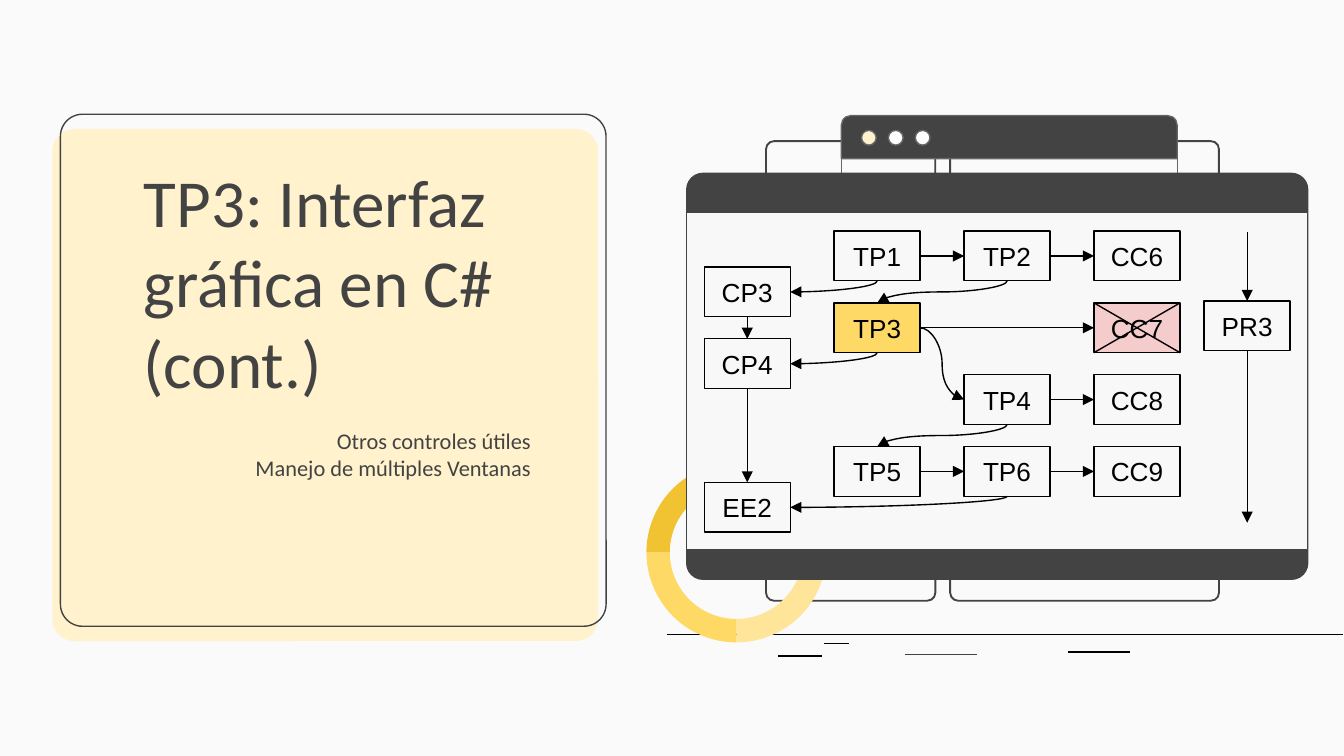
from dataclasses import dataclass
from enum import IntEnum
from typing import NamedTuple, Optional

from lxml.etree import SubElement
from pptx import Presentation
from pptx.dml.color import RGBColor
from pptx.enum.shapes import MSO_CONNECTOR as Connector, MSO_SHAPE as Shape
from pptx.enum.text import MSO_ANCHOR as Anchor, PP_ALIGN as Align
from pptx.oxml.ns import qn
from pptx.util import Inches, Pt


@dataclass(frozen=True)
class Theme:
    background: str = "FAFAFA"
    cream: str = "FFF2CC"
    dark: str = "434343"
    gray: str = "666666"
    black: str = "000000"
    white: str = "FFFFFF"
    pane: str = "F8F8F8"
    gold: str = "F1C232"
    yellow: str = "FFD966"
    pale_yellow: str = "FFE599"
    pink: str = "F4CCCC"
    title_font: str = "Calibri"
    node_font: str = "Arial"
    title_size: float = 36
    subtitle_size: float = 12
    node_size: float = 14
    line: float = 0.75
    frame_line: float = 1


THEME = Theme()


class Side(IntEnum):
    TOP = 0
    LEFT = 1
    BOTTOM = 2
    RIGHT = 3


class Area(NamedTuple):
    left: float
    top: float
    width: float
    height: float


class Node(NamedTuple):
    name: str
    column: int
    row: int
    fill: Optional[str] = None


class Link(NamedTuple):
    start: str
    start_side: Side
    end: str
    end_side: Side


class Stroke(NamedTuple):
    left: float
    top: float
    length: float
    color: str = THEME.black


class RingPart(NamedTuple):
    start: float
    end: float
    color: str


NODE_WIDTH, NODE_HEIGHT = 0.64, 0.37
GRID_LEFT, GRID_TOP = 5.24, 1.72
COLUMN_STEP, ROW_STEP = 2.9 / 3, 1.87 / 7

NODES = [
    Node("TP1", 1, 0), Node("TP3", 1, 2, THEME.yellow), Node("TP5", 1, 6),
    Node("TP2", 2, 0), Node("TP4", 2, 4), Node("TP6", 2, 6),
    Node("CC6", 3, 0), Node("CC7", 3, 2, THEME.pink), Node("CC8", 3, 4), Node("CC9", 3, 6),
    Node("CP3", 0, 1), Node("CP4", 0, 3), Node("EE2", 0, 7),
]
ACROSS = [("TP1", "TP2"), ("TP2", "CC6"), ("TP3", "CC7"), ("TP4", "CC8"),
          ("TP5", "TP6"), ("TP6", "CC9")]
DOWN = [("CP3", "CP4"), ("CP4", "EE2")]
STRAIGHT_LINKS = ([Link(a, Side.RIGHT, b, Side.LEFT) for a, b in ACROSS]
                  + [Link(a, Side.BOTTOM, b, Side.TOP) for a, b in DOWN])
CURVED_LINKS = [
    Link("TP2", Side.BOTTOM, "TP3", Side.TOP),
    Link("TP4", Side.BOTTOM, "TP5", Side.TOP),
    Link("TP3", Side.RIGHT, "TP4", Side.LEFT),
    Link("TP1", Side.BOTTOM, "CP3", Side.RIGHT),
    Link("TP3", Side.BOTTOM, "CP4", Side.RIGHT),
    Link("TP6", Side.BOTTOM, "EE2", Side.RIGHT),
]
GROUND = [Stroke(4.96, 4.72, 5.03), Stroke(5.79, 4.88, 0.33), Stroke(6.73, 4.87, 0.54, THEME.dark),
          Stroke(6.13, 4.79, 0.19), Stroke(7.95, 4.85, 0.46)]
RING = [RingPart(300, 90, THEME.pale_yellow), RingPart(90, 180, THEME.yellow),
        RingPart(180, 300, THEME.gold)]


def add_block(page, kind, area: Area, *, fill=None, line=None, weight=THEME.line, adjust=()):
    box = page.shapes.add_shape(kind, *map(Inches, area))
    box.shadow.inherit = False
    for index, value in enumerate(adjust):
        box.adjustments[index] = value
    if fill:
        box.fill.solid()
        box.fill.fore_color.rgb = RGBColor.from_string(fill)
    else:
        box.fill.background()
    if line:
        box.line.color.rgb = RGBColor.from_string(line)
        box.line.width = Pt(weight)
    else:
        box.line.fill.background()
    return box


def write(box, text: str, *, font: str, size: float, color: str, align=Align.LEFT, anchor=Anchor.TOP):
    """Fill a box with text, one paragraph per line."""
    frame = box.text_frame
    frame.word_wrap = True
    frame.vertical_anchor = anchor
    frame.margin_left = frame.margin_right = frame.margin_top = frame.margin_bottom = Inches(0.1)
    for index, line in enumerate(text.split("\n")):
        para = frame.add_paragraph() if index else frame.paragraphs[0]
        para.alignment = align
        span = para.add_run()
        span.text = line
        span.font.name = font
        span.font.size = Pt(size)
        span.font.color.rgb = RGBColor.from_string(color)


def add_line(page, start, end, *, kind=Connector.STRAIGHT, color=THEME.black, arrow=False):
    connector = page.shapes.add_connector(kind, *map(int, (*start, *end)))
    connector.line.color.rgb = RGBColor.from_string(color)
    connector.line.width = Pt(THEME.line)
    properties = connector.element.spPr
    if arrow:
        SubElement(properties.find(qn("a:ln")), qn("a:tailEnd"), type="triangle")
    SubElement(properties, qn("a:effectLst"))
    return connector


def side_middle(box, side: Side):
    """Middle of a side, in the order that connection sites are numbered."""
    across, down = [(0.5, 0), (0, 0.5), (0.5, 1), (1, 0.5)][side]
    return box.left + box.width * across, box.top + box.height * down


def add_straight_link(page, boxes, link: Link):
    start, end = boxes[link.start], boxes[link.end]
    connector = add_line(page, side_middle(start, link.start_side),
                         side_middle(end, link.end_side), arrow=True)
    connector.begin_connect(start, link.start_side)
    connector.end_connect(end, link.end_side)


def add_curved_link(page, boxes, link: Link):
    """Curve to the right, or down and left by a quarter turn about its centre."""
    x1, y1 = side_middle(boxes[link.start], link.start_side)
    x2, y2 = side_middle(boxes[link.end], link.end_side)
    turned = link.start_side == Side.BOTTOM
    if turned:
        middle_x, middle_y = (x1 + x2) / 2, (y1 + y2) / 2
        half_width, half_height = (y2 - y1) / 2, (x1 - x2) / 2
        x1, x2 = middle_x - half_width, middle_x + half_width
        y1, y2 = middle_y - half_height, middle_y + half_height
    connector = add_line(page, (x1, y1), (x2, y2), kind=Connector.CURVE, arrow=True)
    properties = connector.element.spPr
    if turned:
        properties.find(qn("a:xfrm")).set("rot", str(90 * 60000))
    if link.end_side == Side.RIGHT:
        properties.find(qn("a:prstGeom")).set("prst", "curvedConnector2")


def add_node(page, name: str, left: float, top: float, fill: Optional[str] = None):
    box = add_block(page, Shape.RECTANGLE, Area(left, top, NODE_WIDTH, NODE_HEIGHT),
                    fill=fill, line=THEME.black)
    write(box, name, font=THEME.node_font, size=THEME.node_size, color=THEME.black,
          align=Align.CENTER, anchor=Anchor.MIDDLE)
    return box


def draw_title_card(page):
    add_block(page, Shape.ROUNDED_RECTANGLE, Area(0.39, 0.96, 4.06, 3.81),
              fill=THEME.cream, adjust=[0.043])
    add_block(page, Shape.ROUNDED_RECTANGLE, Area(0.45, 0.85, 4.06, 3.81),
              line=THEME.dark, adjust=[0.043])
    text_format = dict(font=THEME.title_font, color=THEME.dark)
    title = page.shapes.add_textbox(*map(Inches, (0.97, 1.88, 3.08, 1.21)))
    write(title, "TP3: Interfaz gráfica en C# (cont.)", size=THEME.title_size,
          anchor=Anchor.BOTTOM, **text_format)
    subtitle = page.shapes.add_textbox(*map(Inches, (0.97, 3.08, 3.08, 1.21)))
    write(subtitle, "Otros controles útiles\nManejo de múltiples Ventanas",
          size=THEME.subtitle_size, align=Align.RIGHT, **text_format)


def draw_windows(page):
    for stroke in GROUND:
        add_line(page, (Inches(stroke.left), Inches(stroke.top)),
                 (Inches(stroke.left + stroke.length), Inches(stroke.top)), color=stroke.color)
    for left, width in [(5.7, 1.26), (7.07, 2)]:
        add_block(page, Shape.ROUNDED_RECTANGLE, Area(left, 1.05, width, 3.42),
                  line=THEME.dark, weight=THEME.frame_line, adjust=[0.06 / width])
    add_block(page, Shape.ROUND_2_SAME_RECTANGLE, Area(6.26, 0.86, 2.5, 0.32),
              fill=THEME.dark, line=THEME.gray, adjust=[0.23, 0])
    for index, color in enumerate([THEME.cream, THEME.white, THEME.white]):
        add_block(page, Shape.OVAL, Area(6.41 + 0.2 * index, 0.97, 0.11, 0.11),
                  fill=color, line=THEME.gray)
    add_block(page, Shape.RECTANGLE, Area(6.26, 1.18, 2.5, 1.64), line=THEME.gray)
    for part in RING:
        # Adjustments count 100000 units, angles 60000 per degree.
        add_block(page, Shape.BLOCK_ARC, Area(4.81, 3.44, 1.34, 1.34), fill=part.color,
                  adjust=[part.start * 0.6, part.end * 0.6, 0.13])
    add_block(page, Shape.ROUNDED_RECTANGLE, Area(5.11, 1.29, 4.62, 3.02),
              fill=THEME.dark, line=THEME.dark, adjust=[0.04])
    add_block(page, Shape.RECTANGLE, Area(5.11, 1.58, 4.62, 2.51), fill=THEME.pane, line=THEME.dark)


def draw_diagram(page):
    boxes = {node.name: add_node(page, node.name, GRID_LEFT + node.column * COLUMN_STEP,
                                 GRID_TOP + node.row * ROW_STEP, node.fill) for node in NODES}
    for link in STRAIGHT_LINKS:
        add_straight_link(page, boxes, link)
    for link in CURVED_LINKS:
        add_curved_link(page, boxes, link)

    practice = add_node(page, "PR3", 8.96, 2.24)
    arrival = add_line(page, (Inches(9.28), Inches(1.73)), side_middle(practice, Side.TOP), arrow=True)
    arrival.end_connect(practice, Side.TOP)
    departure = add_line(page, side_middle(practice, Side.BOTTOM), (Inches(9.28), Inches(3.89)), arrow=True)
    departure.begin_connect(practice, Side.BOTTOM)

    crossed = boxes["CC7"]
    right, bottom = crossed.left + crossed.width, crossed.top + crossed.height
    add_line(page, (right, crossed.top), (crossed.left, bottom))
    add_line(page, (right, bottom), (crossed.left, crossed.top))


def main():
    deck = Presentation()
    deck.slide_width = Inches(10)
    deck.slide_height = deck.slide_width * 9 // 16
    page = deck.slides.add_slide(deck.slide_layouts[6])
    page.background.fill.solid()
    page.background.fill.fore_color.rgb = RGBColor.from_string(THEME.background)
    draw_title_card(page)
    draw_windows(page)
    draw_diagram(page)
    deck.save("out.pptx")


if __name__ == "__main__":
    main()
